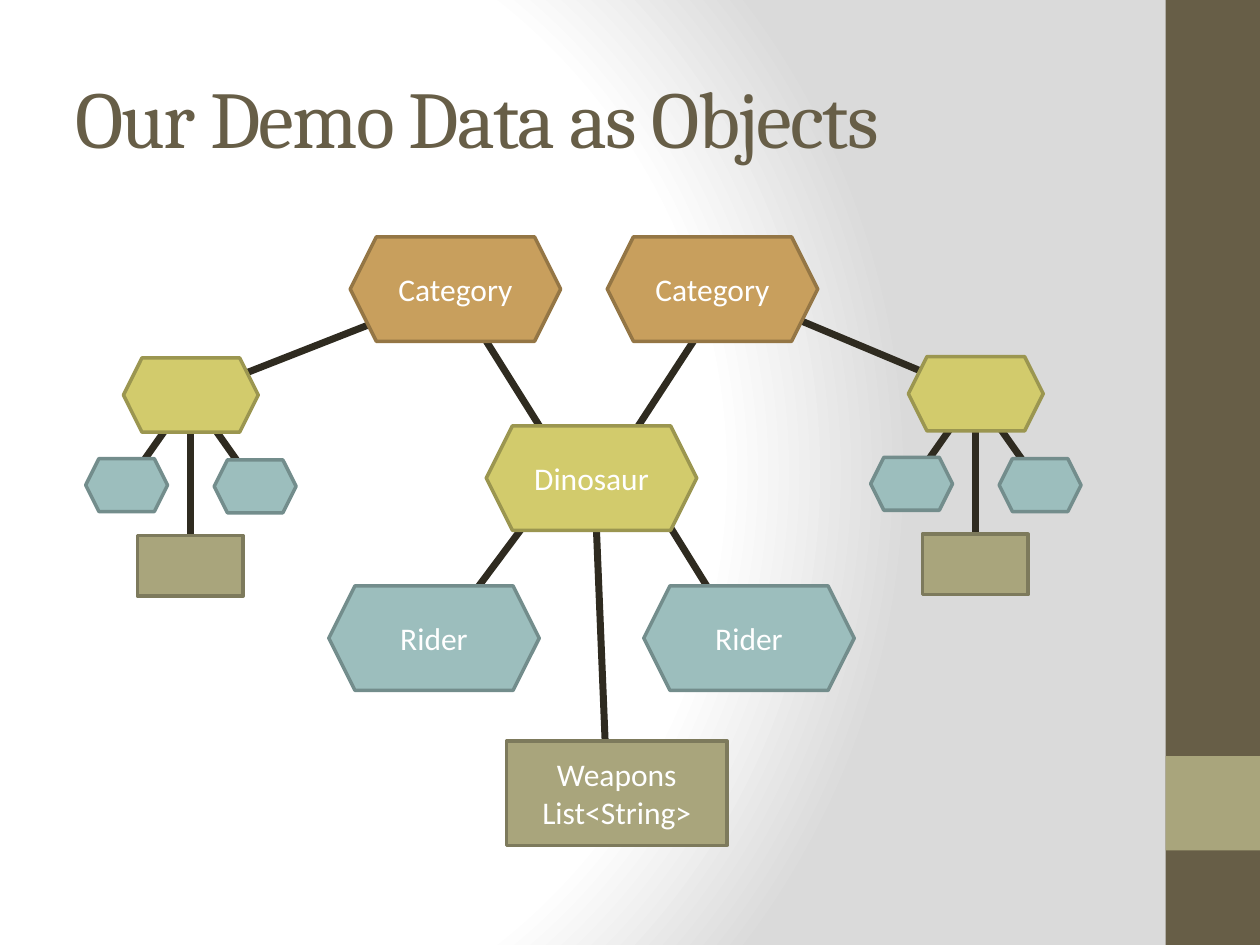
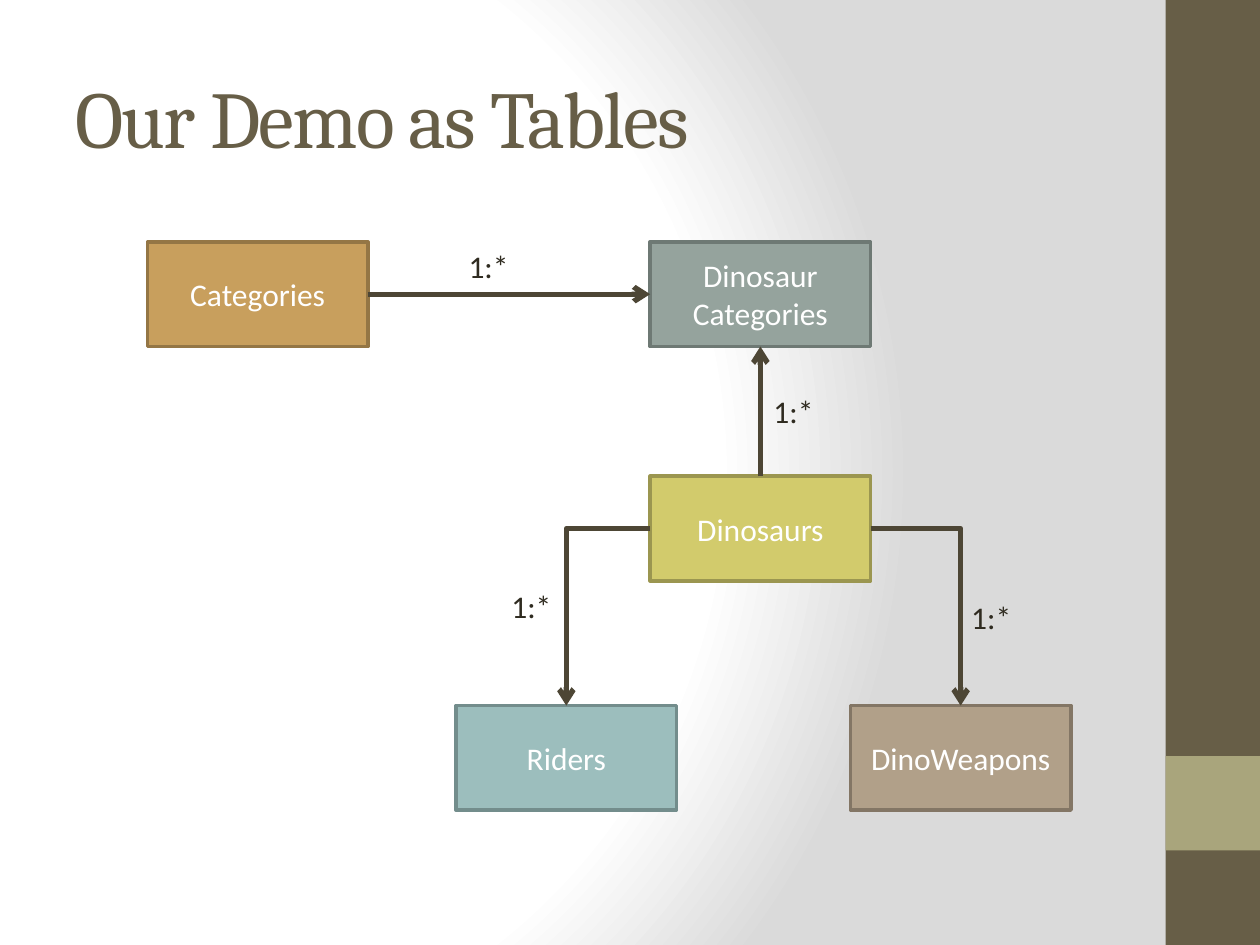
"""Builds two slides showing the demo data as objects and as tables."""
from lxml.etree import SubElement
from pptx import Presentation
from pptx.dml.color import RGBColor
from pptx.enum.shapes import MSO_CONNECTOR, MSO_SHAPE
from pptx.enum.text import MSO_ANCHOR, PP_ALIGN
from pptx.oxml import parse_xml
from pptx.oxml.ns import nsdecls, qn
from pptx.util import Inches, Pt

COLORS = {
    "title": "675E47", "band": "675E47", "accent": "A9A57C", "text": "2F2B20",
    "white": "FFFFFF", "shade": "DADADA", "branch": "2F2B20", "arrow": "4D4635",
}
KINDS = {
    "category": ("C89F5D", "947645"),
    "dinosaur": ("D2CB6C", "9B9650"),
    "rider": ("9CBEBD", "738D8C"),
    "weapons": ("A9A57C", "7D7A5C"),
    "join": ("95A39D", "6E7974"),
    "dino_weapons": ("B1A089", "837665"),
}
FONTS = {
    "title": {"name": "Cambria", "size": Pt(46)},
    "body": {"name": "Calibri", "size": Pt(18)},
}
HEXAGON, RECT = MSO_SHAPE.HEXAGON, MSO_SHAPE.RECTANGLE
TOP, LEFT, BOTTOM, RIGHT = range(4)
HEX_SIZE, BOX_SIZE = (1.67, 0.83), (1.75, 0.83)

BANDS = [("band", (9.25, 0, 0.75, 7.5)), ("accent", (9.25, 6, 0.75, 0.75))]

OBJECTS = [
    ("Dinosaur", "dinosaur", HEXAGON, (3.86, 3.38)),
    ("Category", "category", HEXAGON, (2.78, 1.88)),
    ("Rider", "rider", HEXAGON, (2.61, 4.65)),
    ("Weapons\nList<String>", "weapons", RECT, (4.02, 5.88)),
    ("Category", "category", HEXAGON, (4.82, 1.88)),
    ("Rider", "rider", HEXAGON, (5.11, 4.65)),
]
BRANCHES = [
    ((1.52, 3.13), (3.61, 2.31)), ((4.45, 3.65), (3.61, 2.31)),
    ((4.89, 3.65), (5.77, 2.3)), ((7.75, 3.13), (5.77, 2.3)),
    ((3.45, 5.12), (4.45, 3.78)), ((5.9, 5.12), (5.07, 3.78)),
    ((4.82, 6.3), (4.72, 3.86)),
]
SMALL_TREES = [(7.21, 2.83), (0.98, 2.84)]
SMALL_ROOT = ("dinosaur", HEXAGON, (0, 0), (1.07, 0.59))
SMALL_LEAVES = [
    ("weapons", RECT, (0.11, 1.41), (0.84, 0.48)),
    ("rider", HEXAGON, (-0.3, 0.8), (0.65, 0.42)),
    ("rider", HEXAGON, (0.72, 0.81), (0.65, 0.42)),
]

TABLES = [
    ("Categories", "category", (1.17, 1.92)),
    ("Dinosaur\nCategories", "join", (5.16, 1.92)),
    ("Dinosaurs", "dinosaur", (5.16, 3.78)),
    ("DinoWeapons", "dino_weapons", (6.75, 5.6)),
    ("Riders", "rider", (3.62, 5.6)),
]
RELATIONS = [
    ("category", RIGHT, "join", LEFT, (3.62, 1.91)),
    ("dinosaur", TOP, "join", BOTTOM, (6.04, 3.06)),
    ("dinosaur", LEFT, "rider", TOP, (3.96, 4.61)),
    ("dinosaur", RIGHT, "dino_weapons", TOP, (7.61, 4.7)),
]


def rgb(value):
    return RGBColor.from_string(value)


def box(at, size):
    return [Inches(v) for v in (*at, *size)]


def write(tf, text, style, color, align=PP_ALIGN.LEFT):
    for i, line in enumerate(text.split("\n")):
        p = tf.paragraphs[0] if i == 0 else tf.add_paragraph()
        p.alignment = align
        r = p.add_run()
        r.text = line
        for name, value in FONTS[style].items():
            setattr(r.font, name, value)
        r.font.color.rgb = rgb(color)


def add_block(s, preset, at, size, fill, outline=None, text=""):
    sp = s.shapes.add_shape(preset, *box(at, size))
    sp.shadow.inherit = False
    sp.fill.solid()
    sp.fill.fore_color.rgb = rgb(fill)
    if outline:
        sp.line.color.rgb = rgb(outline)
        sp.line.width = Pt(2)
    else:
        sp.line.fill.background()
    if text:
        sp.text_frame.vertical_anchor = MSO_ANCHOR.MIDDLE
        write(sp.text_frame, text, "body", COLORS["white"], PP_ALIGN.CENTER)
    return sp


def add_line(s, start, end, color, width, kind=MSO_CONNECTOR.STRAIGHT):
    c = s.shapes.add_connector(kind, *start, *end)
    c.line.color.rgb = rgb(color)
    c.line.width = Pt(width)
    SubElement(c.element.spPr, qn("a:effectLst"))
    return c


def add_branch(s, start, end):
    points = [[Inches(v) for v in point] for point in (start, end)]
    add_line(s, *points, COLORS["branch"], 4)


def side_point(sp, side):
    dx, dy = {TOP: (1, 0), LEFT: (0, 1), BOTTOM: (1, 2), RIGHT: (2, 1)}[side]
    return sp.left + sp.width * dx // 2, sp.top + sp.height * dy // 2


def add_relation(s, source, source_side, target, target_side):
    start, end = side_point(source, source_side), side_point(target, target_side)
    straight = start[0] == end[0] or start[1] == end[1]
    kind = MSO_CONNECTOR.STRAIGHT if straight else MSO_CONNECTOR.ELBOW
    c = add_line(s, start, end, COLORS["arrow"], 3, kind)
    if not straight:
        c.element.spPr.find(qn("a:prstGeom")).set("prst", "bentConnector2")
    c.begin_connect(source, source_side)
    c.end_connect(target, target_side)
    SubElement(c.line._get_or_add_ln(), qn("a:tailEnd"), type="arrow")


def add_label(s, at, text):
    tf = s.shapes.add_textbox(*box(at, (0.52, 0.4))).text_frame
    tf.word_wrap = False
    write(tf, text, "body", COLORS["text"])


def set_background(master):
    stops = "".join(
        f'<a:gs pos="{pos * 1000}"><a:srgbClr val="{COLORS[name]}"/></a:gs>'
        for pos, name in ((0, "white"), (75, "white"), (100, "shade")))
    master.background.fill.solid()
    bg = master.element.cSld.find(qn("p:bg"))
    bg.getparent().replace(bg, parse_xml(
        f'<p:bg {nsdecls("p", "a")}><p:bgPr><a:gradFill rotWithShape="1">'
        f'<a:gsLst>{stops}</a:gsLst><a:path path="circle">'
        '<a:fillToRect l="20000" t="50000" r="100000" b="50000"/></a:path>'
        '</a:gradFill><a:effectLst/></p:bgPr></p:bg>'))


def add_slide(prs, title):
    s = prs.slides.add_slide(prs.slide_layouts[6])
    for color, (x, y, w, h) in BANDS:
        add_block(s, RECT, (x, y), (w, h), COLORS[color])
    tf = s.shapes.add_textbox(*box((0.5, 0.3), (8.33, 1.25))).text_frame
    tf.word_wrap = True
    tf.vertical_anchor = MSO_ANCHOR.MIDDLE
    write(tf, title, "title", COLORS["title"])
    tf.paragraphs[0].runs[0].font._element.set("spc", "-100")
    return s


def build_objects(prs):
    s = add_slide(prs, "Our Demo Data as Objects")
    for start, end in BRANCHES:
        add_branch(s, start, end)
    for x, y in SMALL_TREES:
        for _, _, (dx, dy), (w, h) in SMALL_LEAVES:
            add_branch(s, (x + dx + w / 2, y + dy + h / 2), (x + 0.53, y + 0.29))
    for text, kind, preset, at in OBJECTS:
        size = HEX_SIZE if preset == HEXAGON else BOX_SIZE
        add_block(s, preset, at, size, *KINDS[kind], text)
    for x, y in SMALL_TREES:
        for kind, preset, (dx, dy), size in [SMALL_ROOT, *SMALL_LEAVES]:
            add_block(s, preset, (x + dx, y + dy), size, *KINDS[kind])


def build_tables(prs):
    s = add_slide(prs, "Our Demo as Tables")
    tables = {kind: add_block(s, RECT, at, BOX_SIZE, *KINDS[kind], text)
              for text, kind, at in TABLES}
    for source, source_side, target, target_side, _ in RELATIONS:
        add_relation(s, tables[source], source_side, tables[target], target_side)
    for *_, at in RELATIONS:
        add_label(s, at, "1:*")


def main():
    prs = Presentation()
    prs.slide_width, prs.slide_height = Inches(10), Inches(7.5)
    set_background(prs.slide_master)
    build_objects(prs)
    build_tables(prs)
    prs.save("out.pptx")


if __name__ == "__main__":
    main()
